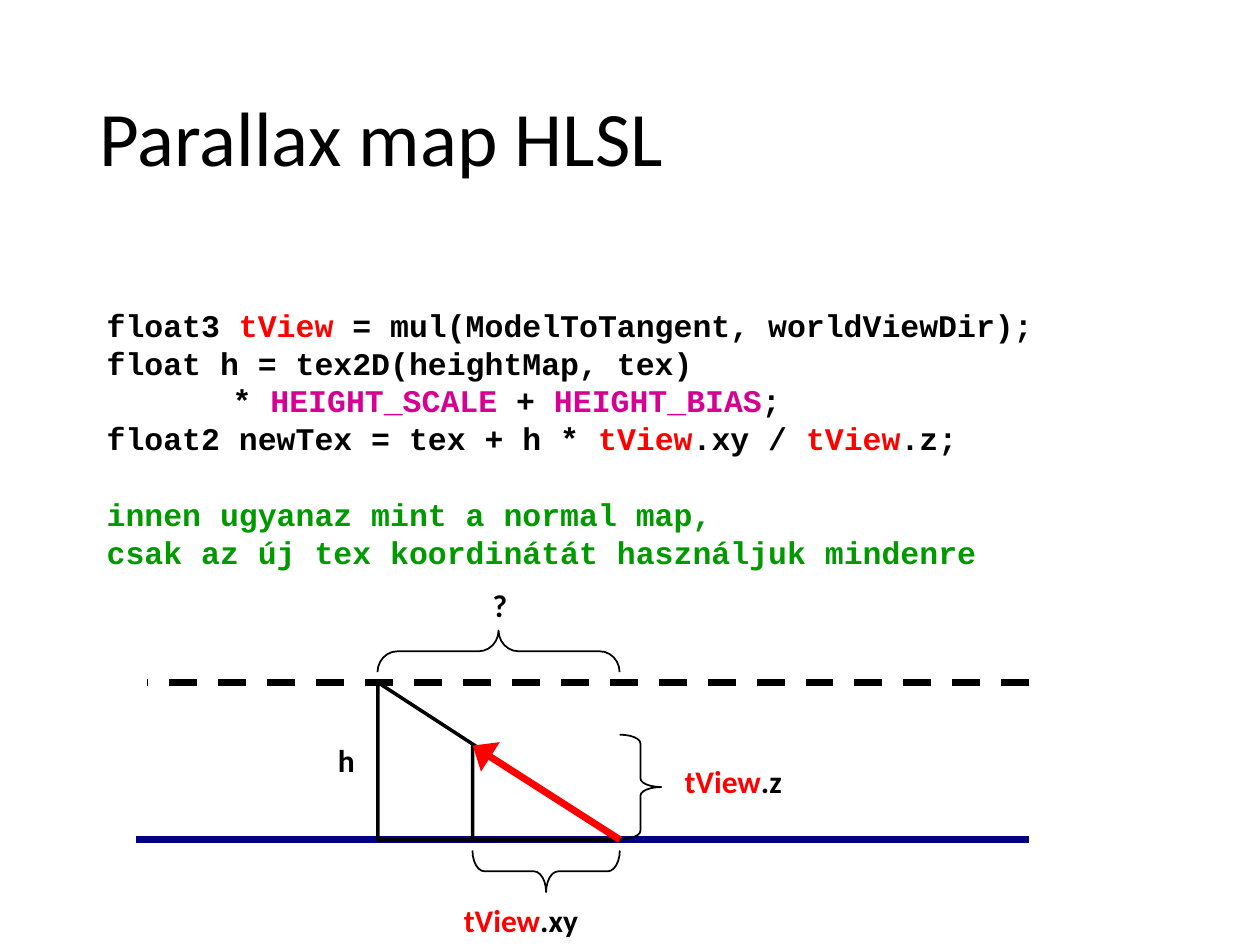
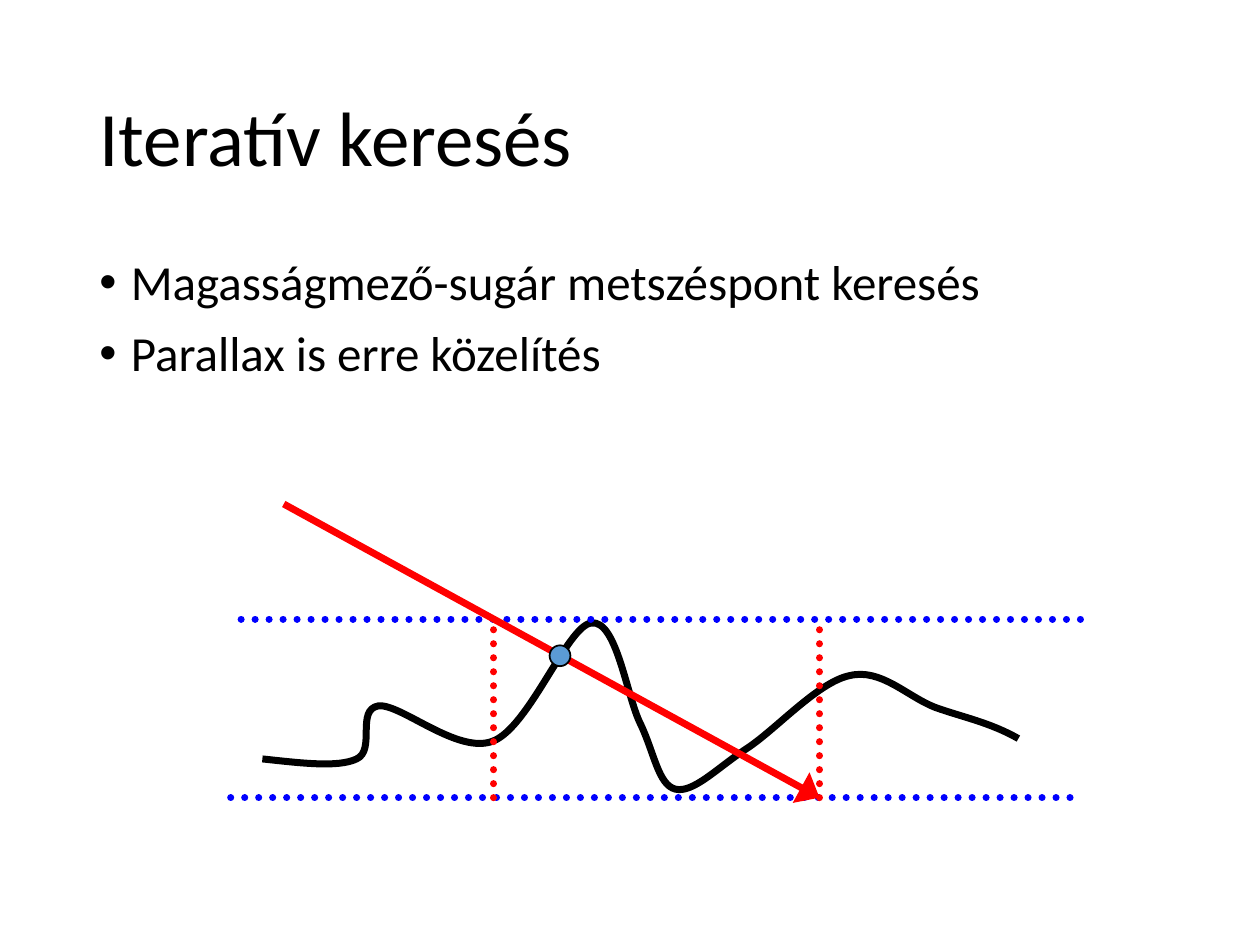
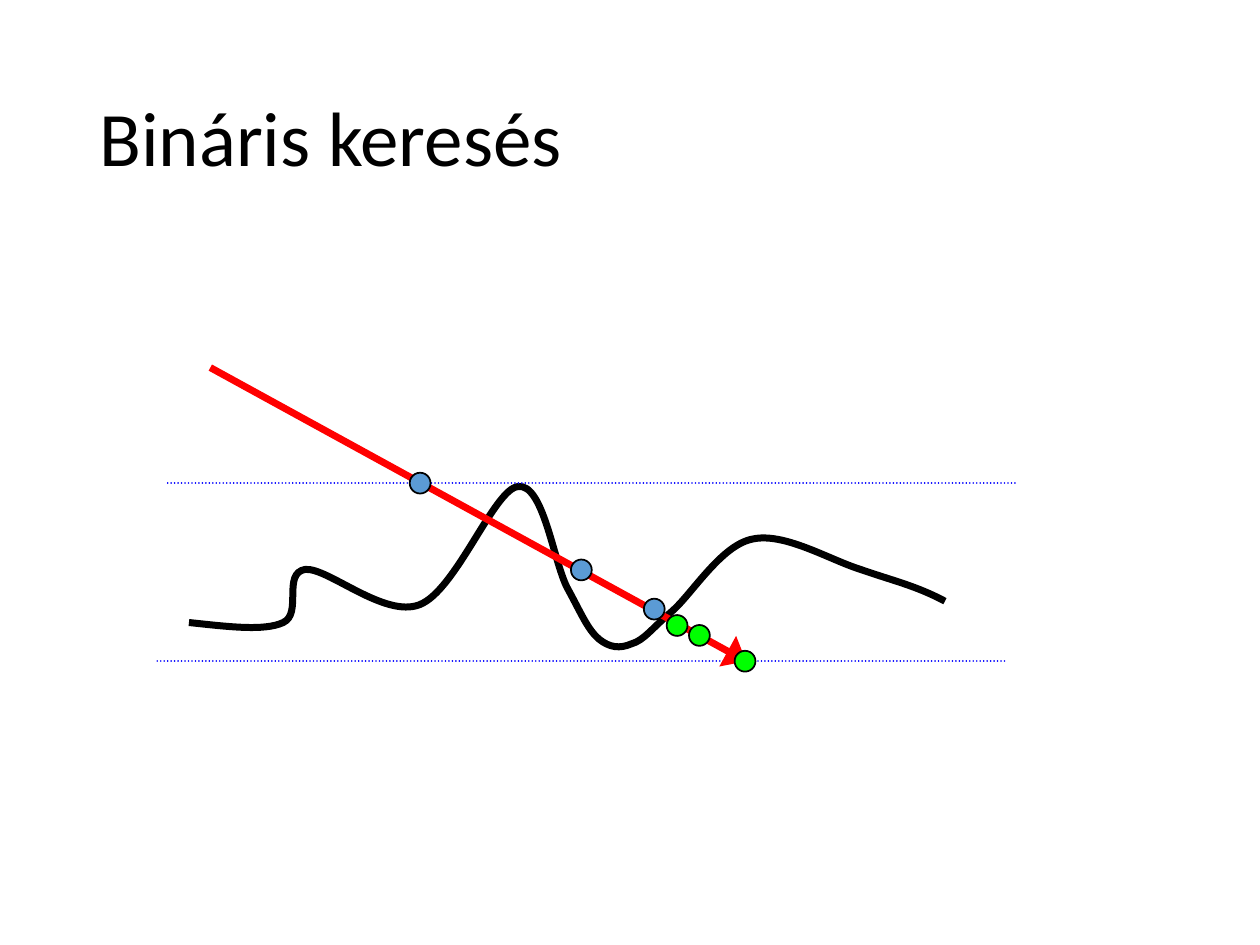
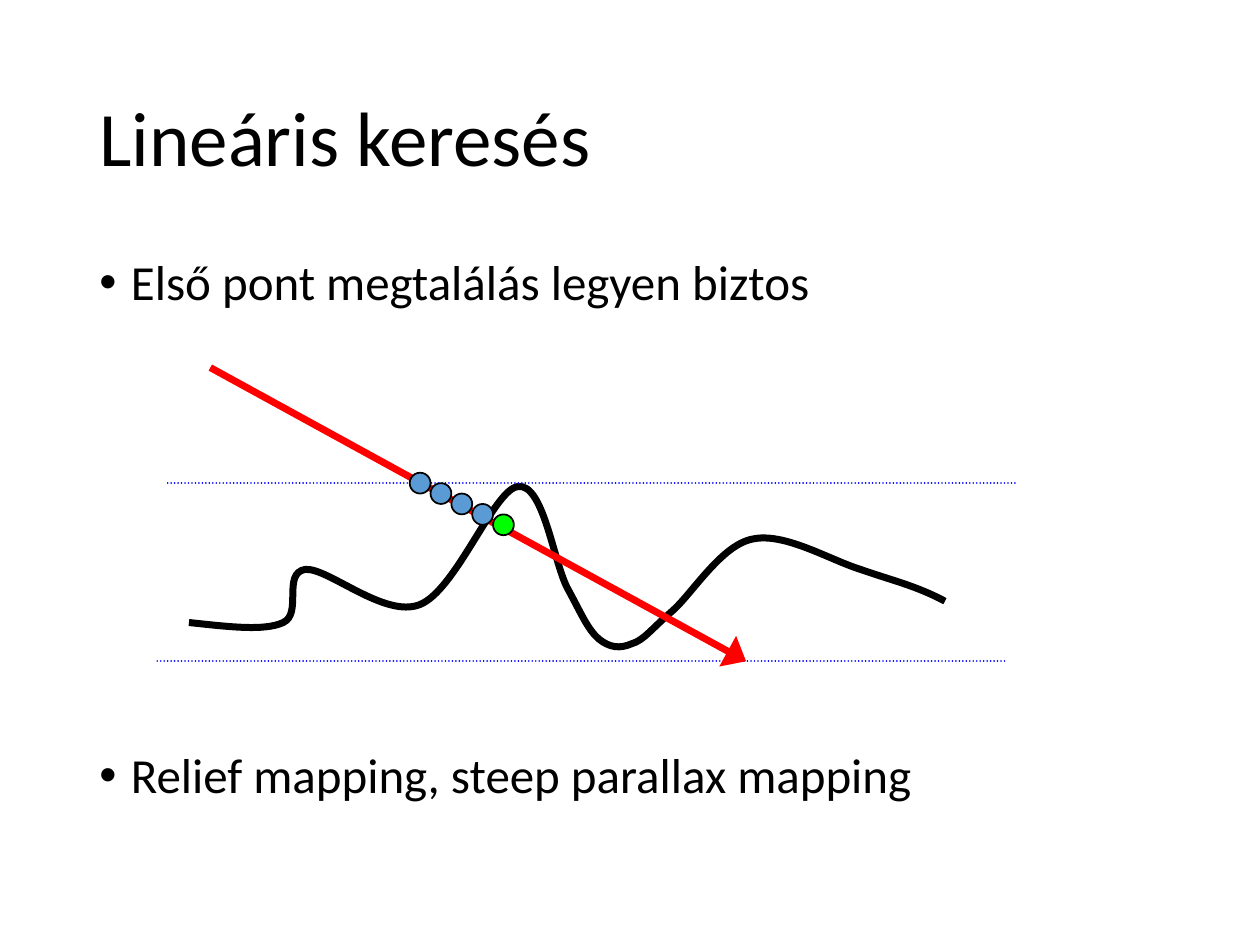
import lxml.etree
import pptx
import pptx.dml.color
import pptx.enum.dml
import pptx.enum.lang
import pptx.enum.shapes
import pptx.enum.text
import pptx.oxml.ns
import pptx.util

Cm, Pt = pptx.util.Cm, pptx.util.Pt
qn = pptx.oxml.ns.qn
SHAPE = pptx.enum.shapes.MSO_SHAPE
DASH = pptx.enum.dml.MSO_LINE
ANCHOR = pptx.enum.text.MSO_ANCHOR
AUTO_SIZE = pptx.enum.text.MSO_AUTO_SIZE
HUNGARIAN = pptx.enum.lang.MSO_LANGUAGE_ID.HUNGARIAN

BLACK, RED, NAVY, BLUE = "000000", "FF0000", "000080", "0000FF"
SKY, LIME, PINK, GREEN = "5B9BD5", "00FF00", "D60093", "009900"
THIN, MEDIUM, THICK = 1, 2, 4
DOT = 0.42

# Height field curves in cm: a start point, then three points per Bezier segment
HILL = [
    (0, 2.82),
    (0.76, 2.9), (1.52, 3.0), (1.9, 2.82),
    (2.29, 2.64), (1.88, 1.83), (2.34, 1.75),
    (2.79, 1.7), (3.94, 2.74), (4.65, 2.46),
    (5.38, 2.18), (6.15, 0.13), (6.63, 0.08),
    (7.14, 0), (7.34, 1.55), (7.62, 2.11),
]
DEEP_FIELD = HILL + [
    (7.9, 2.69), (7.98, 3.35), (8.33, 3.43),
    (8.69, 3.51), (9.17, 3.0), (9.75, 2.62),
    (10.34, 2.24), (11.2, 1.27), (11.84, 1.14),
    (12.47, 0.99), (12.98, 1.55), (13.56, 1.78),
    (14.12, 1.98), (14.66, 2.08), (15.24, 2.41),
]
FLAT_FIELD = HILL + [
    (7.9, 2.62), (8.03, 2.95), (8.26, 3.15),
    (8.48, 3.33), (8.69, 3.35), (8.92, 3.25),
    (9.17, 3.18), (9.32, 2.95), (9.73, 2.6),
    (10.13, 2.26), (10.72, 1.27), (11.35, 1.14),
    (11.99, 0.99), (12.9, 1.55), (13.54, 1.75),
    (14.2, 1.98), (14.66, 2.08), (15.24, 2.39),
]
FIELD_DEPTH = 3.6
RAY_END = 11.23


def rgb(value):
    return pptx.dml.color.RGBColor.from_string(value)


def add_run(p, text, size=18, font="Calibri", color=BLACK, bold=False):
    r = p.add_run()
    r.text = text
    r.font.size, r.font.name, r.font.bold = Pt(size), font, bold
    r.font.language_id = HUNGARIAN
    r.font.color.rgb = rgb(color)
    return r


class Deck:
    def __init__(self):
        self.prs = pptx.Presentation()
        self.prs.slide_width, self.prs.slide_height = Cm(25.4), Cm(19.05)
        self.s = None

    def place(self, sp, x, y, w, h):
        sp.left, sp.top, sp.width, sp.height = Cm(x), Cm(y), Cm(w), Cm(h)

    def slide(self, title, bullets=()):
        """Start a slide; bullets are (text, space before in points)."""
        self.s = self.prs.slides.add_slide(self.prs.slide_layouts[1 if bullets else 5])
        sp = self.s.shapes.title
        self.place(sp, 1.75, 1.02, 21.9, 3.68)
        tf = sp.text_frame
        tf.auto_size, tf.vertical_anchor = AUTO_SIZE.NONE, ANCHOR.MIDDLE
        p = tf.paragraphs[0]
        p.alignment, p.line_spacing = pptx.enum.text.PP_ALIGN.LEFT, 0.9
        add_run(p, title, size=44)
        if bullets:
            self.bullets(bullets)

    def bullets(self, items):
        sp = self.s.placeholders[1]
        self.place(sp, 1.75, 5.08, 21.9, 13.79)
        tf = sp.text_frame
        tf.auto_size = AUTO_SIZE.NONE
        for i, (text, before) in enumerate(items):
            p = tf.add_paragraph() if i else tf.paragraphs[0]
            p.line_spacing, p.space_before = 0.9, Pt(before)
            pPr = p._p.get_or_add_pPr()
            pPr.set("marL", str(Cm(0.635)))
            pPr.set("indent", str(-Cm(0.635)))
            add_run(p, text, size=28)

    def text(self, x, y, w, h, lines, font="Calibri"):
        """Bold text box; each line is a list of (text, colour) runs."""
        tf = self.s.shapes.add_textbox(Cm(x), Cm(y), Cm(w), Cm(h)).text_frame
        tf.word_wrap = False
        for i, line in enumerate(lines):
            p = tf.add_paragraph() if i else tf.paragraphs[0]
            p._p.get_or_add_pPr().set("defTabSz", str(Cm(2.54)))
            for text, color in line:
                add_run(p, text, font=font, color=color, bold=True)
        return tf

    def label(self, x, y, w, *runs):
        self.text(x, y, w, 1.02, [runs]).auto_size = AUTO_SIZE.SHAPE_TO_FIT_TEXT

    def outline(self, sp, color, width):
        sp.line.color.rgb, sp.line.width = rgb(color), Pt(width)

    def line(self, x1, y1, x2, y2, color, width=THICK, dash=None, arrow=False):
        c = self.s.shapes.add_connector(
            pptx.enum.shapes.MSO_CONNECTOR.STRAIGHT, Cm(x1), Cm(y1), Cm(x2), Cm(y2))
        self.outline(c, color, width)
        ln = c.line._get_or_add_ln()
        if dash:
            c.line.dash_style = dash
        if dash == DASH.ROUND_DOT:
            ln.set("cap", "rnd")
        if arrow:
            lxml.etree.SubElement(ln, qn("a:tailEnd"), type="triangle", w="lg", len="med")
        lxml.etree.SubElement(c._element.spPr, qn("a:effectLst"))

    def shape(self, kind, x, y, w, h, width=THIN, fill=None, rotation=0, curl=None):
        sp = self.s.shapes.add_shape(kind, Cm(x), Cm(y), Cm(w), Cm(h))
        sp.shadow.inherit = False
        sp.rotation = rotation
        self.outline(sp, BLACK, width)
        if fill:
            sp.fill.solid()
            sp.fill.fore_color.rgb = rgb(fill)
        else:
            sp.fill.background()
        if curl:
            sp.adjustments[0] = curl

    def dot(self, x, y, fill):
        """Sample point centred at x, y."""
        self.shape(SHAPE.OVAL, x - DOT / 2, y - DOT / 2, DOT, DOT, fill=fill)

    def curve(self, x, y, points):
        """Smooth open outline through a chain of Bezier segments."""
        points = [(Cm(x + px), Cm(y + py)) for px, py in points]
        fb = self.s.shapes.build_freeform(*points[0])
        fb.add_line_segments(points[1:], close=False)
        sp = fb.convert_to_shape()
        sp.shadow.inherit = False
        sp.fill.background()
        self.outline(sp, BLACK, THICK)
        # Merge each three straight steps into one cubic segment
        steps = list(sp._element.iter(qn("a:lnTo")))
        outline = steps[0].getparent()
        for i in range(0, len(steps), 3):
            bezier = lxml.etree.SubElement(outline, qn("a:cubicBezTo"))
            for step in steps[i:i + 3]:
                bezier.append(step[0])
                outline.remove(step)

    def height_field(self, x, y, field, bound_width):
        """Terrain between two dotted bounds, crossed by a ray."""
        self.curve(x, y, field)
        for left, depth in ((-0.43, 0), (-0.64, FIELD_DEPTH)):
            self.line(x + left, y + depth, x + left + 17.14, y + depth,
                      BLUE, bound_width, DASH.ROUND_DOT)
        self.line(x + 0.43, y - 2.32, x + RAY_END, y + FIELD_DEPTH, RED, arrow=True)


def parallax_slide(d):
    d.slide("Parallax map HLSL")
    # Shader code
    view = ("tView", RED)
    tf = d.text(1.9, 5.28, 19, 10.16, [
        [("float3 ", BLACK), view, (" = mul(ModelToTangent, worldViewDir);", BLACK)],
        [("float h = tex2D(heightMap, tex)", BLACK)],
        [("\t* ", BLACK), ("HEIGHT_SCALE", PINK), (" + ", BLACK),
         ("HEIGHT_BIAS", PINK), (";", BLACK)],
        [("float2 newTex = tex + h * ", BLACK), view, (".xy / ", BLACK), view, (".z;", BLACK)],
        [("innen ugyanaz mint a normal map,", GREEN)],
        [("csak az új tex koordinátát használjuk mindenre", GREEN)],
    ], font="Courier New")
    tf.auto_size, tf.vertical_anchor = AUTO_SIZE.NONE, ANCHOR.MIDDLE
    tf.margin_right, tf.margin_bottom = 0, Cm(3.18)
    tf.paragraphs[4].space_before = Pt(21.6)

    # Similar triangles between the surface and the top plane
    top, surface, right = 13.76, 16.93, 12.5
    d.line(2.74, surface, 20.75, surface, NAVY)
    d.line(20.75, top, 2.97, top, BLACK, dash=DASH.DASH)
    for x, y in ((7.62, top), (9.53, 15.03)):
        d.shape(SHAPE.RIGHT_TRIANGLE, x, y, right - x, surface - y, MEDIUM)
    d.line(right, surface, 9.53, 15.03, RED, arrow=True)

    # Braces and their labels
    for x, y, h, rotation, curl in ((10.59, 16.08, 2.97, 270, 0.292),
                                    (12.49, 14.81, 2.11, 180, 0.208),
                                    (9.63, 10.69, 4.88, 90, 0.479)):
        d.shape(SHAPE.LEFT_BRACE, x, y, 0.84, h, rotation=rotation, curl=curl)
    d.label(9.1, 18.03, 3.05, view, (".xy", BLACK))
    d.label(13.55, 15.24, 2.67, view, (".z", BLACK))
    d.label(6.56, 14.81, 0.89, ("h", BLACK))
    d.label(9.68, 11.68, 0.89, ("?", BLACK))


def iterative_slide(d):
    d.slide("Iteratív keresés", [("Magasságmező-sugár metszéspont keresés", 10),
                                 ("Parallax is erre közelítés", 10)])
    x, y = 5.29, 12.48
    d.height_field(x, y, DEEP_FIELD, THICK)
    for drop in (RAY_END, 4.66):
        d.line(x + drop, y + FIELD_DEPTH, x + drop, y, RED, dash=DASH.ROUND_DOT)
    d.dot(11.29, 13.22, SKY)


def binary_slide(d):
    d.slide("Bináris keresés")
    d.height_field(3.81, 9.73, FLAT_FIELD, THIN)
    for x, y, fill in ((15.02, 13.33, LIME), (8.47, 9.74, SKY), (11.72, 11.49, SKY),
                       (13.19, 12.28, SKY), (14.1, 12.81, LIME), (13.65, 12.61, LIME)):
        d.dot(x, y, fill)


def linear_slide(d):
    # The wide gap leaves room for the drawing between the bullets
    d.slide("Lineáris keresés", [("Első pont megtalálás legyen biztos", 10),
                                 ("Relief mapping, steep parallax mapping", 251.5)])
    d.height_field(3.81, 9.73, FLAT_FIELD, THIN)
    for i, fill in enumerate([SKY] * 4 + [LIME]):
        d.dot(8.47 + 0.42 * i, 9.74 + 0.21 * i, fill)


def main():
    d = Deck()
    for build in (parallax_slide, iterative_slide, binary_slide, linear_slide):
        build(d)
    d.prs.save("out.pptx")


if __name__ == "__main__":
    main()
